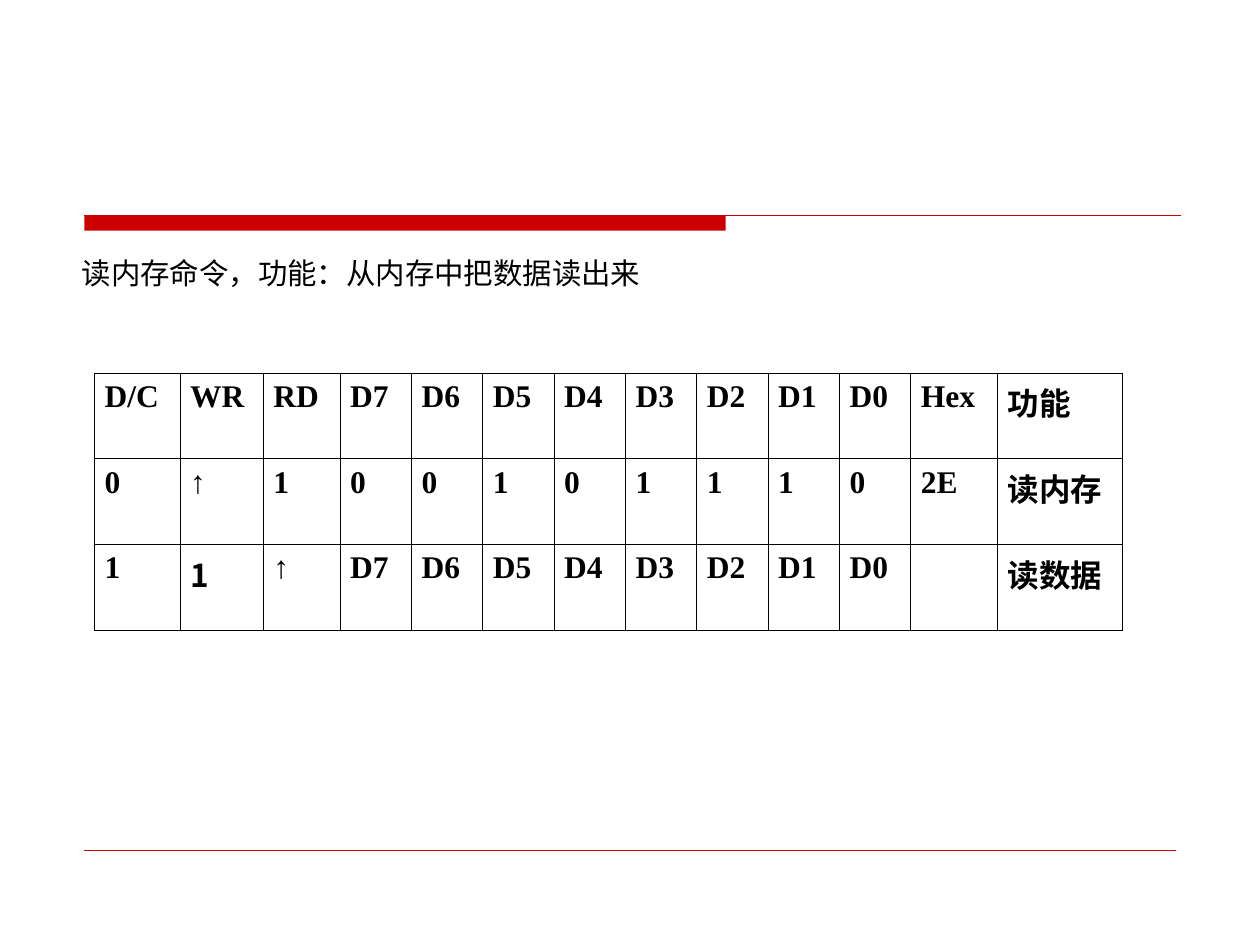
from lxml.etree import SubElement
from pptx import Presentation
from pptx.dml.color import RGBColor
from pptx.enum.shapes import MSO_CONNECTOR as CONNECTOR, MSO_SHAPE as SHAPE
from pptx.enum.text import PP_ALIGN as ALIGN
from pptx.oxml.ns import qn
from pptx.util import Inches, Pt

RED = RGBColor(0xCC, 0x00, 0x00)
BLACK = RGBColor(0x00, 0x00, 0x00)
LATIN = "Times New Roman"
CHINESE = "Noto Sans CJK SC"

BITS = [f"D{bit}" for bit in range(7, -1, -1)]
COMMAND_ROWS = [
    ["D/C", "WR", "RD", *BITS, "Hex", "功能"],
    ["0", "↑", "1", *"00101110", "2E", "读内存"],
    ["1", "1", "↑", *BITS, "", "读数据"],
]
BIT_WIDTH = 4.53 / len(BITS)
COLUMN_WIDTHS = [0.68, 0.66, 0.61, *[BIT_WIDTH] * len(BITS), 0.69, 0.99]
ROW_HEIGHT = 0.68
CHINESE_CELLS = {(0, 12), (1, 12), (2, 12), (2, 1)}


class SlideBuilder:
    def __init__(self, slide):
        self.slide = slide

    def format_text(self, text_frame, size, font, bold=False):
        for paragraph in text_frame.paragraphs:
            paragraph.alignment = ALIGN.JUSTIFY
            for run in paragraph.runs:
                run.font.size = Pt(size)
                run.font.name = font
                run.font.bold = bold
                run.font.color.rgb = BLACK
                properties = run.font._element
                SubElement(properties, qn("a:ea"), typeface=font)

    def bar(self, left, top, width, height):
        shape = self.slide.shapes.add_shape(
            SHAPE.RECTANGLE, Inches(left), Inches(top), Inches(width), Inches(height))
        shape.shadow.inherit = False
        shape.fill.solid()
        shape.fill.fore_color.rgb = RED
        shape.line.fill.background()

    def rule(self, left, right, y, weight):
        connector = self.slide.shapes.add_connector(
            CONNECTOR.STRAIGHT, Inches(left), Inches(y), Inches(right), Inches(y))
        connector.line.color.rgb = RED
        connector.line.width = Pt(weight)
        SubElement(connector._element.spPr, qn("a:effectLst"))

    def text(self, text, left, top, width, height, size):
        box = self.slide.shapes.add_textbox(
            Inches(left), Inches(top), Inches(width), Inches(height))
        text_frame = box.text_frame
        text_frame.word_wrap = True
        text_frame.text = text
        text_frame.paragraphs[0].line_spacing = 0.8
        self.format_text(text_frame, size, CHINESE)

    def border(self, cell, weight):
        properties = cell._tc.get_or_add_tcPr()
        for index, side in enumerate(("a:lnL", "a:lnR", "a:lnT", "a:lnB")):
            line = properties.makeelement(qn(side), {"w": str(Pt(weight))})
            fill = SubElement(line, qn("a:solidFill"))
            SubElement(fill, qn("a:srgbClr"), val=str(BLACK))
            properties.insert(index, line)

    def table(self, rows, left, top, widths, row_height):
        table = self.slide.shapes.add_table(
            len(rows), len(widths), Inches(left), Inches(top),
            Inches(sum(widths)), Inches(row_height * len(rows))).table
        table.first_row = table.horz_banding = False
        for column, width in zip(table.columns, widths):
            column.width = Inches(width)
        for row_index, values in enumerate(rows):
            table.rows[row_index].height = Inches(row_height)
            for column_index, value in enumerate(values):
                cell = table.cell(row_index, column_index)
                cell.margin_left = cell.margin_right = Inches(0.08)
                cell.margin_top = cell.margin_bottom = Inches(0.05)
                cell.fill.background()
                self.border(cell, 0.45)
                cell.text_frame.text = value
                is_chinese = (row_index, column_index) in CHINESE_CELLS
                self.format_text(cell.text_frame, 18, CHINESE if is_chinese else LATIN, bold=True)


def main():
    presentation = Presentation()
    presentation.slide_width = Inches(10)
    presentation.slide_height = Inches(7.5)
    builder = SlideBuilder(presentation.slides.add_slide(presentation.slide_layouts[6]))

    # Header bar with its rule, and footer rule
    builder.bar(0.67, 1.71, 5.09, 0.12)
    builder.rule(0.67, 9.37, 1.71, 0.75)
    builder.rule(0.67, 9.33, 6.75, 0.25)

    # Description and command table
    builder.text("读内存命令，功能：从内存中把数据读出来", 0.55, 2.03, 8.83, 0.39, 16.8)
    builder.table(COMMAND_ROWS, 0.75, 2.96, COLUMN_WIDTHS, ROW_HEIGHT)

    presentation.save("out.pptx")


if __name__ == "__main__":
    main()
